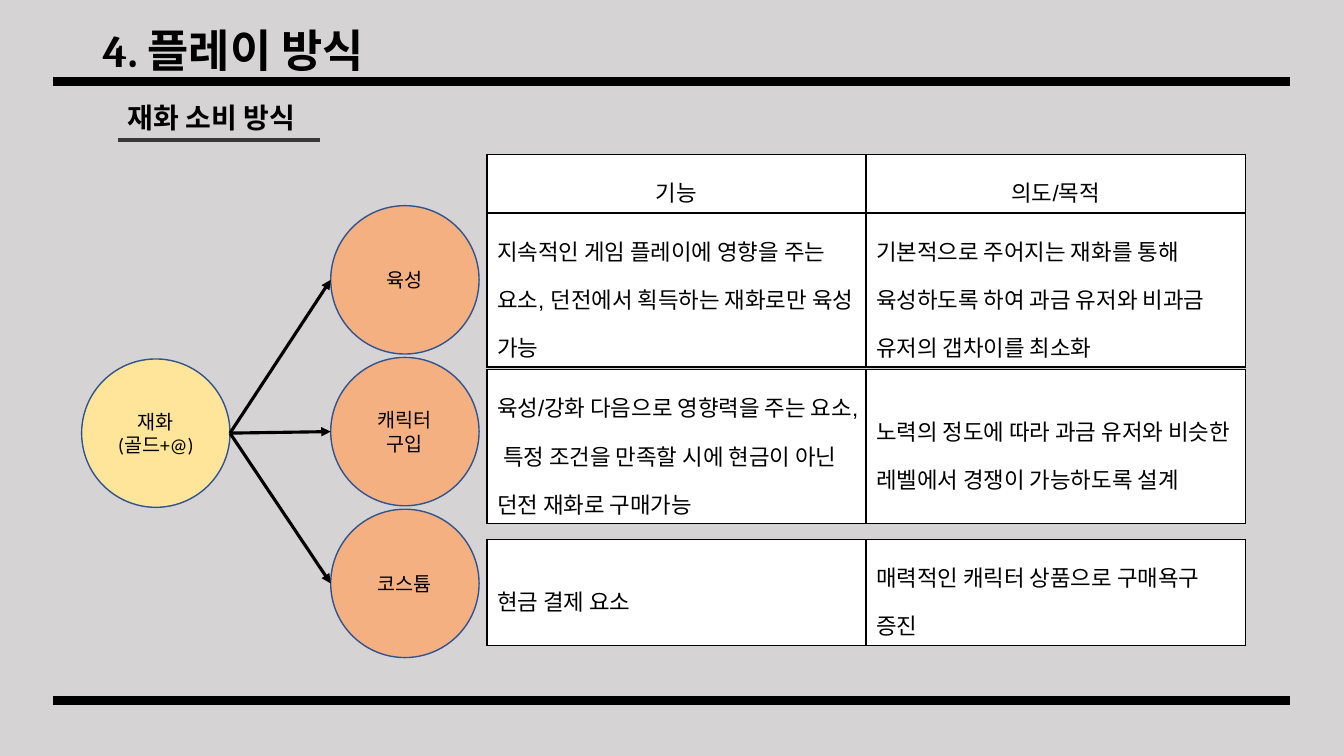
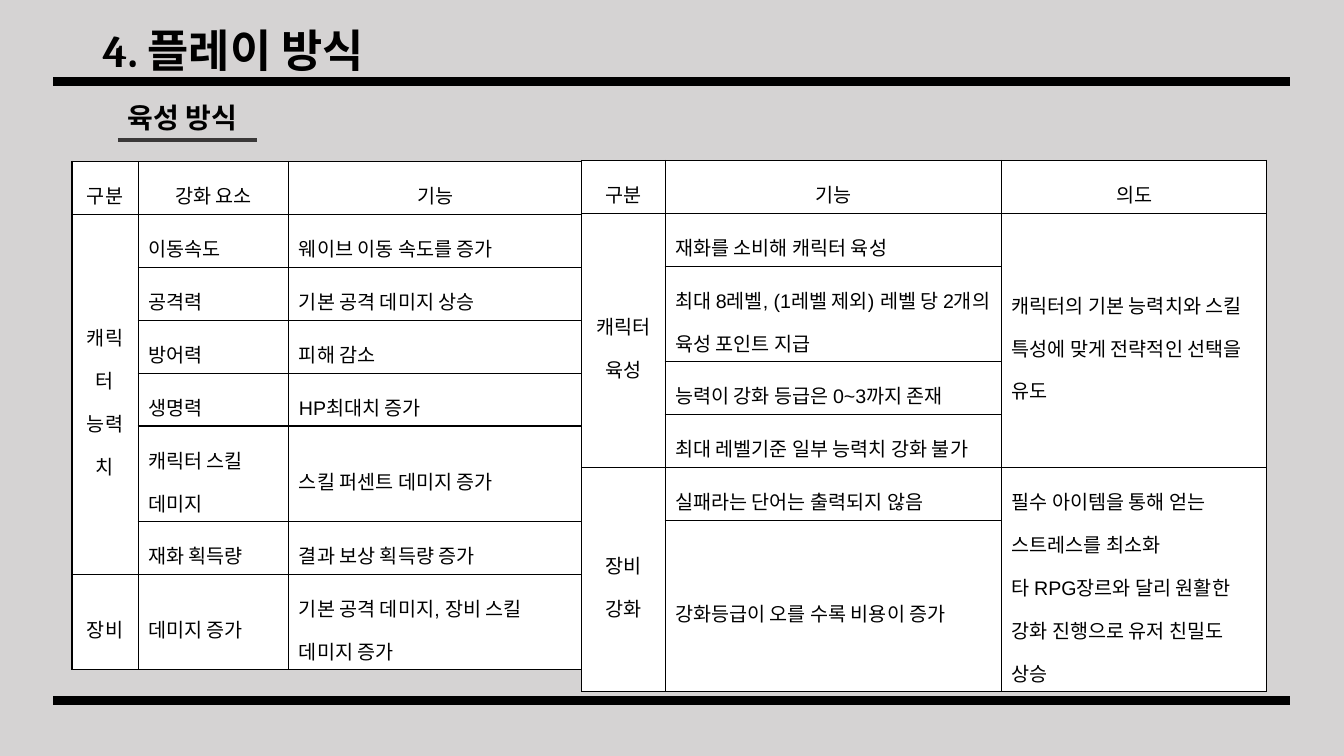
from copy import deepcopy
from dataclasses import dataclass

from lxml import etree
from pptx import Presentation
from pptx.dml.color import RGBColor
from pptx.enum.shapes import MSO_CONNECTOR, MSO_SHAPE
from pptx.enum.text import MSO_ANCHOR as Anchor, MSO_AUTO_SIZE as AutoSize, PP_ALIGN as Align
from pptx.oxml.ns import qn
from pptx.util import Pt


@dataclass(frozen=True)
class Theme:
    background: str = "D5D3D3"
    ink: str = "000000"
    underline: str = "3A3838"
    paper: str = "FFFFFF"
    source: str = "FEE599"
    target: str = "F4B081"
    outline: str = "31538F"
    title_font: str = "Cambria"
    body_font: str = "Calibri"
    table_font: str = "Arial"
    title_size: float = 32
    subtitle_size: float = 20
    large_size: float = 16
    small_size: float = 14


THEME = Theme()
TITLE = "4. 플레이 방식"
TITLE_BOX = (66.2, 15.8, 828, 44.6)
BAND_LEFT, BAND_RIGHT, BAND_TOPS = 38.2, 921.6, (58.3, 500.4)
SUBTITLE_LEFT, SUBTITLE_TOP, SUBTITLE_HEIGHT = 84.2, 68.4, 31.7

CURRENCY = "재화\n(골드+@)"
SPENDING = ["육성", "캐릭터\v구입", "코스튬"]
CIRCLE = 106
CURRENCY_LEFT, CURRENCY_TOP = 58.3, 256.4
SPENDING_LEFT, SPENDING_TOP, SPENDING_PITCH = 236.2, 146.9, 108.4

# In table rows, None continues the cell above it.
SPENDING_TABLES = [
    dict(top=110.2, heights=[42, 110], header=True, rows=[
        ["기능", "의도/목적"],
        ["지속적인 게임 플레이에 영향을 주는 요소, 던전에서 획득하는 재화로만 육성 가능",
         "기본적으로 주어지는 재화를 통해 육성하도록 하여 과금 유저와 비과금 유저의 갭차이를 최소화"],
    ]),
    dict(top=264.2, heights=[110], rows=[
        ["육성/강화 다음으로 영향력을 주는 요소, 특정 조건을 만족할 시에 현금이 아닌 던전 재화로 구매가능",
         "노력의 정도에 따라 과금 유저와 비슷한 레벨에서 경쟁이 가능하도록 설계"],
    ]),
    dict(top=385.2, heights=[76], rows=[
        ["현금 결제 요소", "매력적인 캐릭터 상품으로 구매욕구 증진"],
    ]),
]
ROW, TALL_ROW = 37.8, 68.2
GROWTH_TABLES = [
    dict(left=51.4, top=115.4, widths=[47.3, 107.7, 209.5],
         heights=[ROW] * 5 + [TALL_ROW, ROW, TALL_ROW], rows=[
        ["구분", "강화 요소", "기능"],
        ["캐릭터\v능력치", "이동속도", "웨이브 이동 속도를 증가"],
        [None, "공격력", "기본 공격 데미지 상승"],
        [None, "방어력", "피해 감소"],
        [None, "생명력", "HP최대치 증가"],
        [None, "캐릭터 스킬 데미지", "스킬 퍼센트 데미지 증가"],
        [None, "재화 획득량", "결과 보상 획득량 증가"],
        ["장비", "데미지 증가", "기본 공격 데미지, 장비 스킬 데미지 증가"],
    ]),
    dict(left=415.4, top=114.6, widths=[59.7, 240.4, 189.3],
         heights=[ROW, ROW, TALL_ROW, ROW, ROW, ROW, 122], rows=[
        ["구분", "기능", "의도"],
        ["캐릭터\v육성", "재화를 소비해 캐릭터 육성",
         "캐릭터의 기본 능력치와 스킬 특성에 맞게 전략적인 선택을 유도"],
        [None, "최대 8레벨, (1레벨 제외) 레벨 당 2개의 육성 포인트 지급", None],
        [None, "능력이 강화 등급은 0~3까지 존재", None],
        [None, "최대 레벨기준 일부 능력치 강화 불가", None],
        ["장비\v강화", "실패라는 단어는 출력되지 않음",
         "필수 아이템을 통해 얻는 스트레스를 최소화\n"
         "타 RPG장르와 달리 원활한 강화 진행으로 유저 친밀도 상승"],
        [None, "강화등급이 오를 수록 비용이 증가", None],
    ]),
]


def rgb(value):
    return RGBColor.from_string(value)


def write(text_frame, text, font, size, bold=False, align=Align.LEFT, spacing=None):
    text_frame.text = text
    text_frame.word_wrap = True
    for paragraph in text_frame.paragraphs:
        paragraph.alignment = align
        paragraph.line_spacing = spacing
        for run in paragraph.runs:
            run.font.name = font
            run.font.size = Pt(size)
            run.font.bold = bold
            run.font.color.rgb = rgb(THEME.ink)
        # A line break takes the size of the text around it.
        for line_break in paragraph._p.findall(qn("a:br")):
            line_break.append(deepcopy(paragraph.runs[0].font._rPr))


def add_line(slide, start, end, color, width, arrow=False):
    line = slide.shapes.add_connector(MSO_CONNECTOR.STRAIGHT, *map(Pt, start + end))
    line.line.color.rgb = rgb(color)
    line.line.width = Pt(width)
    if arrow:
        etree.SubElement(line.line._get_or_add_ln(), qn("a:tailEnd"), type="triangle")
    etree.SubElement(line.element.spPr, qn("a:effectLst"))
    return line


def add_circle(slide, left, top, text, color):
    circle = slide.shapes.add_shape(MSO_SHAPE.OVAL, *map(Pt, (left, top, CIRCLE, CIRCLE)))
    circle.shadow.inherit = False
    circle.fill.solid()
    circle.fill.fore_color.rgb = rgb(color)
    circle.line.color.rgb = rgb(THEME.outline)
    circle.line.width = Pt(1)
    circle.text_frame.vertical_anchor = Anchor.MIDDLE
    write(circle.text_frame, text, THEME.body_font, THEME.small_size, align=Align.CENTER)


def style_cell(cell):
    properties = cell._tc.get_or_add_tcPr()
    for side in ("lnL", "lnR", "lnT", "lnB"):
        border = etree.SubElement(properties, qn(f"a:{side}"), w=str(Pt(1)))
        fill = etree.SubElement(border, qn("a:solidFill"))
        etree.SubElement(fill, qn("a:srgbClr"), val=THEME.ink)
    cell.fill.solid()
    cell.fill.fore_color.rgb = rgb(THEME.paper)
    cell.vertical_anchor = Anchor.MIDDLE
    cell.margin_left = cell.margin_right = Pt(7.2)
    cell.margin_top = cell.margin_bottom = Pt(3.6)


def add_grid(slide, left, top, widths, heights, rows, size, header=False, label_column=False):
    frame = slide.shapes.add_table(len(rows), len(widths), Pt(left), Pt(top),
                                   Pt(sum(widths)), Pt(sum(heights)))
    table = frame.table
    table.first_row = table.horz_banding = False
    for column, width in zip(table.columns, widths):
        column.width = Pt(width)
    for row, height in zip(table.rows, heights):
        row.height = Pt(height)
    for r, row in enumerate(rows):
        for c, text in enumerate(row):
            cell = table.cell(r, c)
            style_cell(cell)
            if text is None:
                continue
            centered = (header and r == 0) or (label_column and c == 0)
            write(cell.text_frame, text, THEME.table_font, size, spacing=1.5,
                  align=Align.CENTER if centered else Align.LEFT)
            last = r
            while last + 1 < len(rows) and rows[last + 1][c] is None:
                last += 1
            if last > r:
                cell.merge(table.cell(last, c))


def add_section(presentation, subtitle, subtitle_width):
    """Add a slide with its title and underlined subtitle."""
    slide = presentation.slides.add_slide(presentation.slide_layouts[5])
    title = slide.shapes.title
    title.left, title.top, title.width, title.height = map(Pt, TITLE_BOX)
    title.text_frame.vertical_anchor = Anchor.MIDDLE
    write(title.text_frame, TITLE, THEME.title_font, THEME.title_size, bold=True, spacing=0.9)
    title.text_frame.auto_size = AutoSize.NONE
    box = slide.shapes.add_textbox(*map(Pt, (SUBTITLE_LEFT, SUBTITLE_TOP,
                                             subtitle_width, SUBTITLE_HEIGHT)))
    write(box.text_frame, subtitle, THEME.body_font, THEME.subtitle_size, bold=True)
    bottom = SUBTITLE_TOP + SUBTITLE_HEIGHT
    add_line(slide, (SUBTITLE_LEFT, bottom), (SUBTITLE_LEFT + subtitle_width, bottom),
             THEME.underline, 2.75)
    return slide


def dress_layout(layout, slide):
    """Give the layout its background and bands; the bands are drawn on slide, then moved."""
    layout.background.fill.solid()
    layout.background.fill.fore_color.rgb = rgb(THEME.background)
    for top in BAND_TOPS:
        band = add_line(slide, (BAND_LEFT, top), (BAND_RIGHT, top), THEME.ink, 6)
        layout.shapes.element.append(band.element)


def build_spending(presentation):
    slide = add_section(presentation, "재화 소비 방식", 144.7)
    dress_layout(slide.slide_layout, slide)
    add_circle(slide, CURRENCY_LEFT, CURRENCY_TOP, CURRENCY, THEME.source)
    start = (CURRENCY_LEFT + CIRCLE, CURRENCY_TOP + CIRCLE / 2)
    for index, text in enumerate(SPENDING):
        top = SPENDING_TOP + index * SPENDING_PITCH
        add_circle(slide, SPENDING_LEFT, top, text, THEME.target)
        add_line(slide, start, (SPENDING_LEFT, top + CIRCLE / 2), THEME.ink, 2.25, arrow=True)
    for grid in SPENDING_TABLES:
        add_grid(slide, left=347.8, widths=[270.8] * 2, size=THEME.large_size, **grid)


def build_growth(presentation):
    slide = add_section(presentation, "육성 방식", 99.7)
    for grid in GROWTH_TABLES:
        add_grid(slide, size=THEME.small_size, header=True, label_column=True, **grid)


def main():
    presentation = Presentation()
    presentation.slide_width, presentation.slide_height = Pt(960), Pt(540)
    build_spending(presentation)
    build_growth(presentation)
    presentation.save("out.pptx")


if __name__ == "__main__":
    main()
